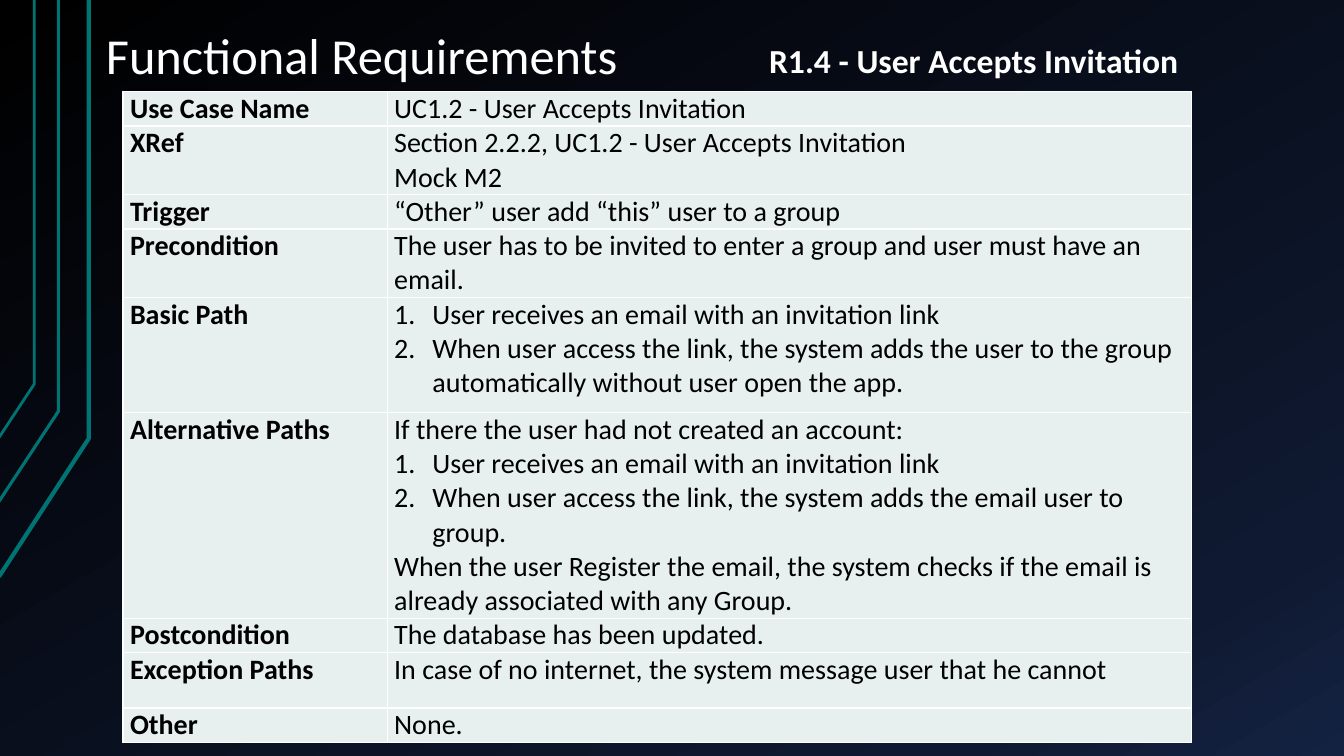
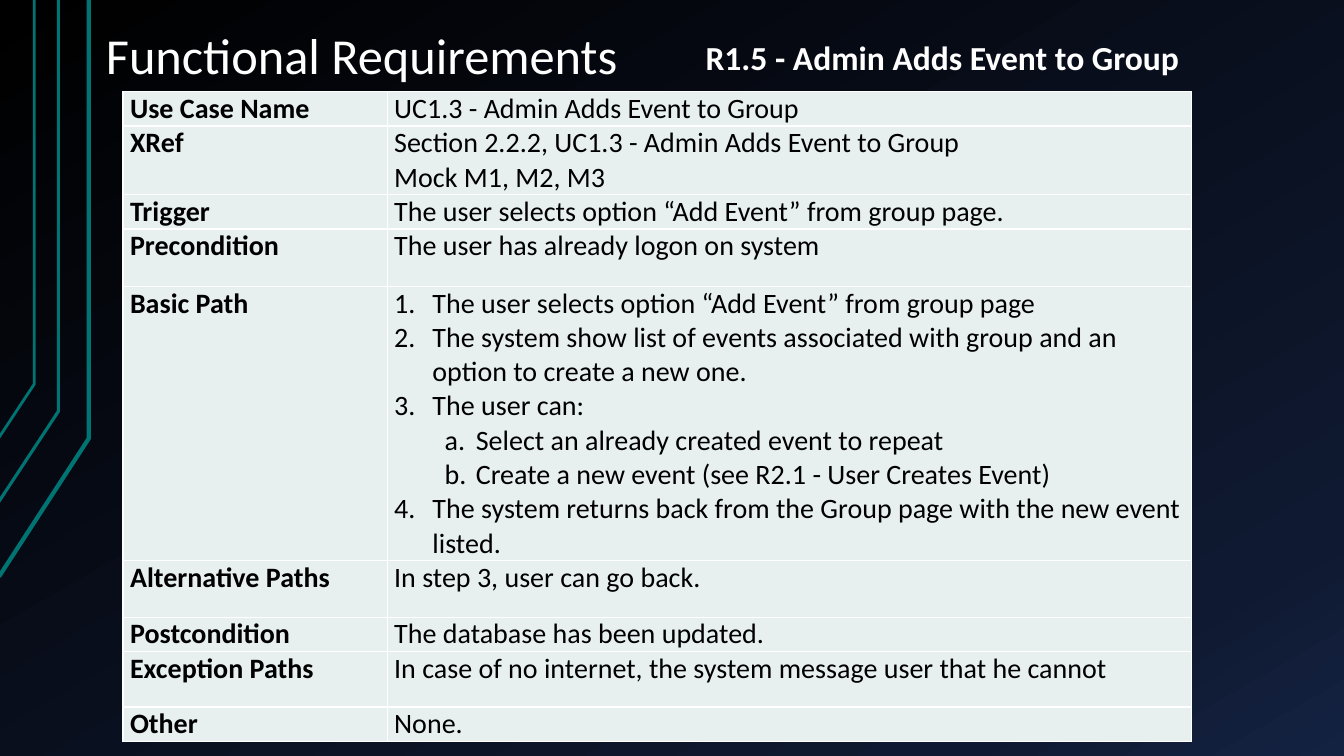
import copy
from dataclasses import dataclass

import pptx
import pptx.dml.color
import pptx.enum.text
import pptx.oxml
import pptx.oxml.ns
import pptx.util

EMU_PER_PX = 9144  # 100 px to the inch
SLIDE_WIDTH, SLIDE_HEIGHT = 1333, 750
TITLE_ONLY_LAYOUT = 5

BLACK = pptx.dml.color.RGBColor(0x00, 0x00, 0x00)
NAVY = pptx.dml.color.RGBColor(0x0F, 0x19, 0x31)
BLUE = pptx.dml.color.RGBColor(0x14, 0x22, 0x42)
TEAL = pptx.dml.color.RGBColor(0x00, 0x73, 0x73)
WHITE = pptx.dml.color.RGBColor(0xFF, 0xFF, 0xFF)
CELL_FILL = pptx.dml.color.RGBColor(0xE7, 0xEF, 0xEF)

FONT = "Calibri"
BACKGROUND_STOPS = [(0, BLACK), (0.85, NAVY), (1, BLUE)]
TRACES = [
    (3, [(-1, 572), (88, 435), (88, 0)]),
    (2.25, [(-2, 499), (58, 408), (58, 0)]),
    (2, [(-1, 434), (34, 381), (34, 0)]),
]
COLUMN_WIDTHS = [262, 798]
NUMBERING = [("arabicPeriod", 38, 38), ("alphaLcPeriod", 81, 31)]


@dataclass
class Step:
    text: str
    level: int = 0


ACCEPT_INVITATION = [
    ("Use Case Name", 33, ["UC1.2 - User Accepts Invitation"]),
    ("XRef", 65, ["Section 2.2.2, UC1.2 - User Accepts Invitation", "Mock M2"]),
    ("Trigger", 33, ["“Other” user add “this” user to a group"]),
    ("Precondition", 57, [
        "The user has to be invited to enter a group and user must have an email."]),
    ("Basic Path", 114, [
        Step("User receives an email with an invitation link"),
        Step("When user access the link, the system adds the user to the group "
             "automatically without user open the app.")]),
    ("Alternative Paths", 170, [
        "If there the user had not created an account:",
        Step("User receives an email with an invitation link"),
        Step("When user access the link, the system adds the email user to group."),
        "When the user Register the email, the system checks if the email is "
        "already associated with any Group."]),
]
ADD_EVENT = [
    ("Use Case Name", 33, ["UC1.3 - Admin Adds Event to Group"]),
    ("XRef", 65, ["Section 2.2.2, UC1.3 - Admin Adds Event to Group", "Mock M1, M2, M3"]),
    ("Trigger", 33, ["The user selects option “Add Event” from group page."]),
    ("Precondition", 57, ["The user has already logon on system"]),
    ("Basic Path", 114, [
        Step("The user selects option “Add Event” from group page"),
        Step("The system show list of events associated with group and an option "
             "to create a new one."),
        Step("The user can:"),
        Step("Select an already created event to repeat", 1),
        Step("Create a new event (see R2.1 - User Creates Event)", 1),
        Step("The system returns back from the Group page with the new event listed.")]),
    ("Alternative Paths", 56, ["In step 3, user can go back."]),
]
CLOSING_ROWS = [
    ("Postcondition", 33, ["The database has been updated."]),
    ("Exception Paths", 55, [
        "In case of no internet, the system message user that he cannot"]),
    ("Other", 33, ["None."]),
]


def px(length):
    return pptx.util.Emu(length * EMU_PER_PX)


def format_runs(text_frame, size, color, bold=False):
    for paragraph in text_frame.paragraphs:
        for run in paragraph.runs:
            run.font.name = FONT
            run.font.size = pptx.util.Pt(size)
            run.font.bold = bold
            run.font.color.rgb = color


def set_background(master):
    fill = master.background.fill
    fill.gradient()
    fill.gradient_angle = 300
    stop_list = next(master.element.cSld.iter(pptx.oxml.ns.qn("a:gsLst")))
    stop_list.append(copy.deepcopy(stop_list[-1]))
    for stop, (position, color) in zip(fill.gradient_stops, BACKGROUND_STOPS):
        stop.position = position
        stop.color.rgb = color


def add_traces(master, slide):
    """Build the circuit lines on the slide, then move them to the master."""
    for number, (width, points) in enumerate(TRACES):
        builder = slide.shapes.build_freeform(*points[0], scale=EMU_PER_PX)
        builder.add_line_segments(points[1:], close=False)
        trace = builder.convert_to_shape()
        trace.shadow.inherit = False
        trace.fill.background()
        trace.line.color.rgb = TEAL
        trace.line.width = pptx.util.Pt(width)
        trace.element.nvSpPr.cNvPr.set("id", str(100 + number))
        master.shapes.element.append(trace.element)


def set_title(slide, text):
    title = slide.shapes.title
    title.left, title.top, title.width, title.height = map(px, (92, -42, 1133, 134))
    text_frame = title.text_frame
    text_frame.text = text
    text_frame.auto_size = pptx.enum.text.MSO_AUTO_SIZE.NONE
    text_frame.vertical_anchor = pptx.enum.text.MSO_ANCHOR.BOTTOM
    text_frame.margin_left = text_frame.margin_right = px(13)
    text_frame.margin_top = text_frame.margin_bottom = px(7)
    text_frame.paragraphs[0].alignment = pptx.enum.text.PP_ALIGN.LEFT
    text_frame.paragraphs[0].line_spacing = 0.9
    format_runs(text_frame, 36, WHITE)


def add_requirement_label(slide, text, left, top, width):
    label = slide.shapes.add_textbox(px(left), px(top), px(width), px(50))
    text_frame = label.text_frame
    text_frame.text = text
    text_frame.word_wrap = False
    text_frame.auto_size = pptx.enum.text.MSO_AUTO_SIZE.SHAPE_TO_FIT_TEXT
    text_frame.vertical_anchor = pptx.enum.text.MSO_ANCHOR.MIDDLE
    format_runs(text_frame, 24, WHITE, bold=True)


def number_paragraph(paragraph, level):
    scheme, margin, hanging = NUMBERING[level]
    paragraph.level = level
    properties = paragraph._p.get_or_add_pPr()
    properties.set("marL", str(px(margin)))
    properties.set("indent", str(px(-hanging)))
    bullet = pptx.oxml.parse_xml(
        f'<a:buAutoNum {pptx.oxml.ns.nsdecls("a")} type="{scheme}"/>')
    properties.append(bullet)


def set_borders(cell):
    properties = cell._tc.get_or_add_tcPr()
    for side in "LRTB":
        properties.append(pptx.oxml.parse_xml(
            f'<a:ln{side} {pptx.oxml.ns.nsdecls("a")} w="{pptx.util.Pt(1)}">'
            f'<a:solidFill><a:srgbClr val="{WHITE}"/></a:solidFill></a:ln{side}>'))


def fill_cell(cell, content, bold=False):
    cell.margin_left = cell.margin_right = px(7)
    cell.margin_top = cell.margin_bottom = 0
    set_borders(cell)
    cell.fill.solid()
    cell.fill.fore_color.rgb = CELL_FILL
    text_frame = cell.text_frame
    for index, item in enumerate(content):
        paragraph = text_frame.add_paragraph() if index else text_frame.paragraphs[0]
        if isinstance(item, Step):
            number_paragraph(paragraph, item.level)
            paragraph.text = item.text
        else:
            paragraph.text = item
    format_runs(text_frame, 20, BLACK, bold)


def add_use_case_table(slide, rows):
    height = sum(row_height for _, row_height, _ in rows)
    frame = slide.shapes.add_table(
        len(rows), len(COLUMN_WIDTHS), px(122), px(91), px(sum(COLUMN_WIDTHS)), px(height))
    table = frame.table
    table.first_row = table.horz_banding = False
    for column, width in zip(table.columns, COLUMN_WIDTHS):
        column.width = px(width)
    for row, (heading, row_height, content) in zip(table.rows, rows):
        row.height = px(row_height)
        fill_cell(row.cells[0], [heading], bold=True)
        fill_cell(row.cells[1], content)


def add_use_case_slide(presentation, rows, label, label_place):
    slide = presentation.slides.add_slide(presentation.slide_layouts[TITLE_ONLY_LAYOUT])
    set_title(slide, "Functional Requirements")
    add_use_case_table(slide, rows + CLOSING_ROWS)
    add_requirement_label(slide, label, *label_place)
    return slide


def main():
    presentation = pptx.Presentation()
    presentation.slide_width = px(SLIDE_WIDTH)
    presentation.slide_height = px(SLIDE_HEIGHT)
    set_background(presentation.slide_master)
    first_slide = add_use_case_slide(
        presentation, ACCEPT_INVITATION, "R1.4 - User Accepts Invitation", (753, 35, 430))
    add_use_case_slide(
        presentation, ADD_EVENT, "R1.5 - Admin Adds Event to Group", (690, 32, 494))
    add_traces(presentation.slide_master, first_slide)
    presentation.save("out.pptx")


if __name__ == "__main__":
    main()
